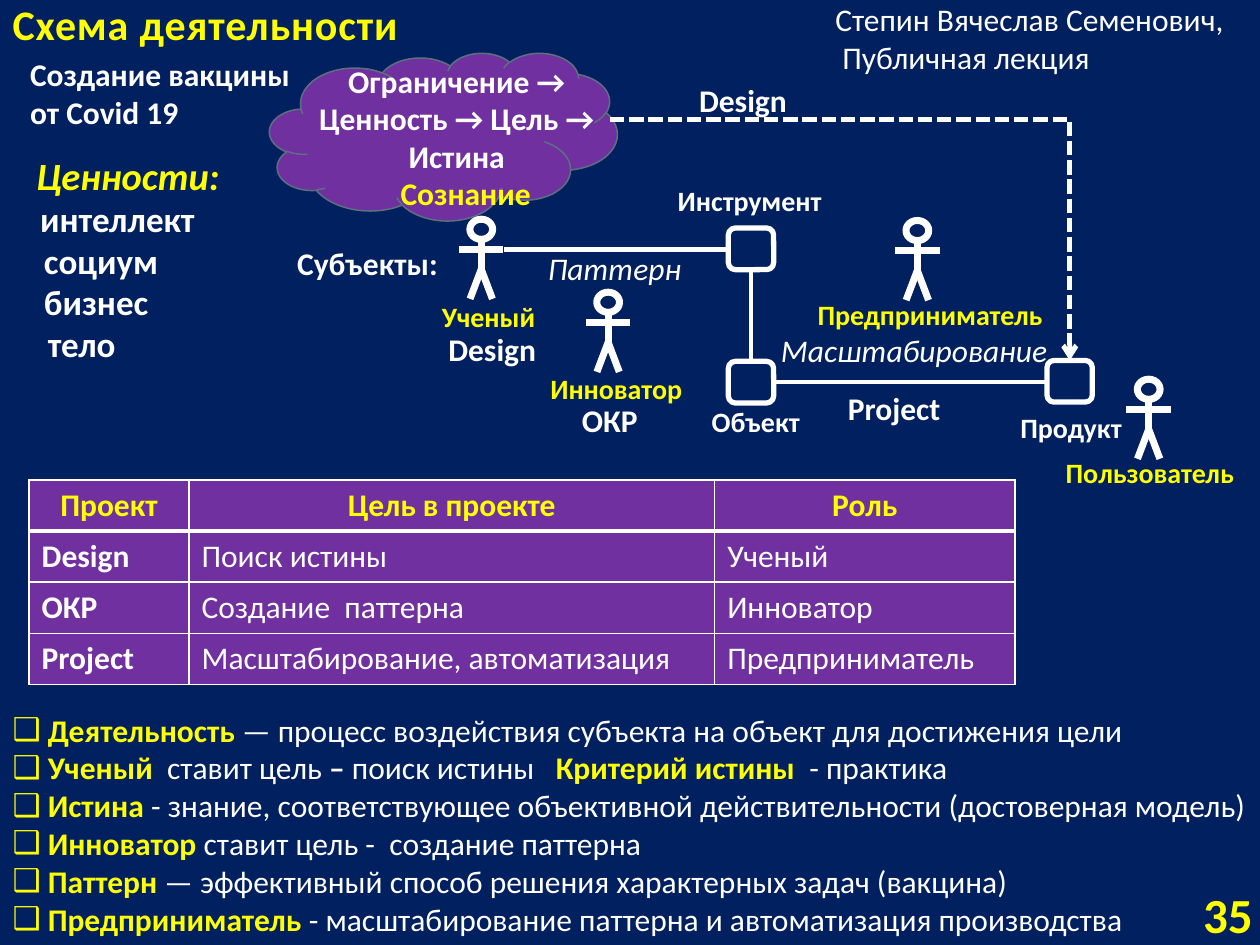
from lxml.etree import SubElement
from pptx import Presentation
from pptx.dml.color import RGBColor
from pptx.enum.dml import MSO_LINE
from pptx.enum.shapes import MSO_CONNECTOR, MSO_SHAPE
from pptx.enum.text import MSO_ANCHOR, MSO_AUTO_SIZE, PP_ALIGN
from pptx.oxml import parse_xml
from pptx.oxml.ns import qn, nsdecls
from pptx.util import Pt

HUES = {"navy": "002060", "violet": "7030A0", "gray": "5D7080",
        "yellow": "FFFF00", "white": "FFFFFF"}
FACE = "Calibri"

TITLE = "Схема деятельности"
# Labels: text, left, top, width, height, size, colour, style (b bold, i italic)
LABELS = [
    ("Степин Вячеслав Семенович,  Публичная лекция", 470.2, -3.6, 239, 51, 18, "white", ""),
    ("Создание вакцины от Covid 19", 10.1, 28.1, 163.4, 51, 18, "white", "b"),
    ("Масштабирование", 439.2, 185.8, 169, 29, 18, "white", "i"),
    ("Паттерн", 306, 139, 92, 29, 18, "white", "i"),
    ("Сознание", 221.8, 95.8, 108, 29, 18, "yellow", "b"),
    ("Субъекты:", 162.7, 136.1, 97, 29, 18, "white", "b"),
    ("Project", 477.4, 218.9, 69, 29, 18, "white", "b"),
    ("Design", 392.4, 42.5, 66, 29, 18, "white", "b"),
    ("ОКР", 325.4, 225.4, 52, 29, 18, "white", "b"),
    ("Design", 249.1, 185, 66, 29, 18, "white", "b"),
    ("Ценности:", 13.7, 83.5, 130, 34, 22, "yellow", "bi"),
]
VALUES = [("интеллект", 15.8), ("социум", 18), ("бизнес", 18), ("тело", 20.2)]
CLOUD = ["Ограничение →", "Ценность → Цель → Истина"]
# Figures: name, centre x, top, label left, label top, label width
PEOPLE = [
    ("Ученый", 275, 125.3, 245.5, 167.8, 75),
    ("Инноватор", 347.5, 167, 307.4, 208.8, 107),
    ("Предприниматель", 524.2, 126, 460.1, 166.3, 145),
    ("Пользователь", 656.4, 216.7, 601.9, 257, 116),
]
# Nodes: name, left, top, label left, label top, label width
NODES = [
    ("Инструмент", 416.2, 130.3, 380.2, 101.5, 108),
    ("Объект", 416.2, 206.5, 399.6, 227.5, 79),
    ("Продукт", 598.3, 206, 576, 231.1, 79),
]
BOX = 25.9, 23.8
LINKS = [(416.2, 142.6, 288, 142.6), (429.1, 206.5, 429.1, 154.1),
         (598.3, 218.2, 442.1, 218.2)]
ROWS = [
    ("Проект", "Цель в проекте", "Роль"),
    ("Design", "Поиск истины", "Ученый"),
    ("ОКР", "Создание  паттерна", "Инноватор"),
    ("Project", "Масштабирование, автоматизация", "Предприниматель"),
]
COLS = 91.4, 300.4, 171.6
# Definitions: runs of (text, kind), with kinds key, bold and plain
TERMS = [
    [(" Деятельность", "key"),
     (" — процесс воздействия субъекта на объект для достижения цели", "plain")],
    [(" Ученый  ", "key"), ("ставит цель ", "plain"), ("– ", "bold"),
     ("поиск истины   ", "plain"), ("Критерий истины  ", "key"), ("- практика", "plain")],
    [(" Истина", "key"),
     (" - знание, соответствующее объективной действительности (достоверная модель)", "plain")],
    [(" Инноватор ", "key"), ("ставит цель -  создание паттерна", "plain")],
    [(" Паттерн ", "key"),
     ("— эффективный способ решения характерных задач (вакцина)", "plain")],
    [(" Предприниматель ", "key"),
     ("- масштабирование паттерна и автоматизация производства", "plain")],
]


def rgb(hue):
    return RGBColor.from_string(HUES[hue])


def style(font, size, hue, look=""):
    font.name, font.size = FACE, Pt(size)
    font.bold, font.italic = "b" in look, "i" in look
    font.color.rgb = rgb(hue)


def place(item, left, top, wide, high):
    item.left, item.top, item.width, item.height = map(Pt, (left, top, wide, high))


def label(text, left, top, wide, high, size, hue, look="b", align=None):
    box = slide.shapes.add_textbox(Pt(left), Pt(top), Pt(wide), Pt(high))
    frame = box.text_frame
    frame.word_wrap = True
    frame.text = text
    for para in frame.paragraphs:
        para.alignment = align
        style(para.font, size, hue, look)
    return frame


def shape(kind, left, top, wide, high, fill, hue, width):
    item = slide.shapes.add_shape(kind, Pt(left), Pt(top), Pt(wide), Pt(high))
    item.shadow.inherit = False
    if fill:
        item.fill.solid()
        item.fill.fore_color.rgb = rgb(fill)
    else:
        item.fill.background()
    item.line.color.rgb = rgb(hue)
    item.line.width = Pt(width)


def link(ends, width, kind=MSO_CONNECTOR.STRAIGHT, dash=None):
    item = slide.shapes.add_connector(kind, *map(Pt, ends))
    item.line.color.rgb = rgb("white")
    item.line.width = Pt(width)
    if dash:
        item.line.dash_style = dash
    SubElement(item._element.spPr, qn("a:effectLst"))
    return item


def person(mid, top):
    shape(MSO_SHAPE.OVAL, mid - 6.5, top, 13, 11.5, None, "white", 4)
    hip, foot, arm = top + 28.6, top + 45.5, top + 17.2
    for ends in [(mid, top + 11.5, mid, hip), (mid, hip, mid - 6.4, foot),
                 (mid - 12.7, arm, mid + 12.7, arm), (mid, hip, mid + 6.4, foot)]:
        link(ends, 4)


def border(cell, tops):
    props = cell._tc.get_or_add_tcPr()
    for spot, (side, width) in enumerate(zip("LRTB", (1, 1, *tops))):
        props.insert(spot, parse_xml(
            f'<a:ln{side} {nsdecls("a")} w="{Pt(width)}"><a:solidFill>'
            f'<a:srgbClr val="{HUES["white"]}"/></a:solidFill></a:ln{side}>'))


deck = Presentation()
deck.slide_width, deck.slide_height = Pt(720), Pt(540)
slide = deck.slides.add_slide(deck.slide_layouts[1])
slide.background.fill.solid()
slide.background.fill.fore_color.rgb = rgb("navy")

# Title
title, body = slide.shapes.title, slide.placeholders[1]
place(title, 0, 1.4, 262.8, 30.2)
title.text = TITLE
title.text_frame.vertical_anchor = MSO_ANCHOR.BOTTOM
title.text_frame.auto_size = MSO_AUTO_SIZE.NONE
para = title.text_frame.paragraphs[0]
para.alignment = PP_ALIGN.LEFT
style(para.font, 24, "yellow", "b")
para.runs[0]._r.get_or_add_rPr().set("spc", "50")

# Definitions
place(body, 0, 402.5, 722.9, 138.2)
frame = body.text_frame
frame.auto_size = MSO_AUTO_SIZE.NONE
for spot, runs in enumerate(TERMS):
    para = frame.add_paragraph() if spot else frame.paragraphs[0]
    para.space_before = Pt(0)
    props = para._p.get_or_add_pPr()
    props.set("marL", str(Pt(13.5)))
    props.set("indent", str(Pt(-13.5)))
    SubElement(props, qn("a:buChar"), char="❑")
    for text, kind in runs:
        run = para.add_run()
        run.text = text
        style(run.font, 18, "yellow" if kind == "key" else "white",
              "" if kind == "plain" else "b")

# Cloud
shape(MSO_SHAPE.CLOUD, 154.1, 30.2, 198.7, 95.8, "violet", "gray", 0.85)
label("\n".join(CLOUD), 173.5, 31.7, 175, 72.7, 18, "white", align=PP_ALIGN.CENTER)

# Scheme: links, nodes, people
path = link((348.5, 68.4, 611.3, 206), 2.75, MSO_CONNECTOR.ELBOW, MSO_LINE.SQUARE_DOT)
path._element.spPr.find(qn("a:prstGeom")).set("prst", "bentConnector2")
SubElement(path.line._get_or_add_ln(), qn("a:tailEnd"), type="arrow")
for ends in LINKS:
    link(ends, 2.5)
for name, left, top, *spot in NODES:
    label(name, *spot, 26.6, 16, "white")
    shape(MSO_SHAPE.ROUNDED_RECTANGLE, left, top, *BOX, "navy", "white", 3)
for name, mid, top, *spot in PEOPLE:
    person(mid, top)
    label(name, *spot, 26.6, 16, "yellow")

# Labels and values
for item in LABELS:
    label(*item)
for row, (name, left) in enumerate(VALUES):
    label(name, left, 109.4 + 23.8 * row, 112, 31.7, 20, "white")

# Table of roles
grid = slide.shapes.add_table(len(ROWS), len(COLS), Pt(16.6), Pt(274.3),
                              Pt(sum(COLS)), Pt(116.8)).table
for col, wide in zip(grid.columns, COLS):
    col.width = Pt(wide)
for r, words in enumerate(ROWS):
    for c, text in enumerate(words):
        cell = grid.cell(r, c)
        cell.text = text
        cell.fill.solid()
        cell.fill.fore_color.rgb = rgb("violet")
        para = cell.text_frame.paragraphs[0]
        para.alignment = PP_ALIGN.LEFT if r else PP_ALIGN.CENTER
        style(para.font, 18, "white" if r else "yellow", "" if r and c else "b")
        border(cell, (3 if r == 1 else 1, 1 if r else 3))

# Page number
label("35", 635.8, 507.6, 87.1, 28.8, 28, "yellow",
      align=PP_ALIGN.RIGHT).vertical_anchor = MSO_ANCHOR.MIDDLE

deck.save("out.pptx")
